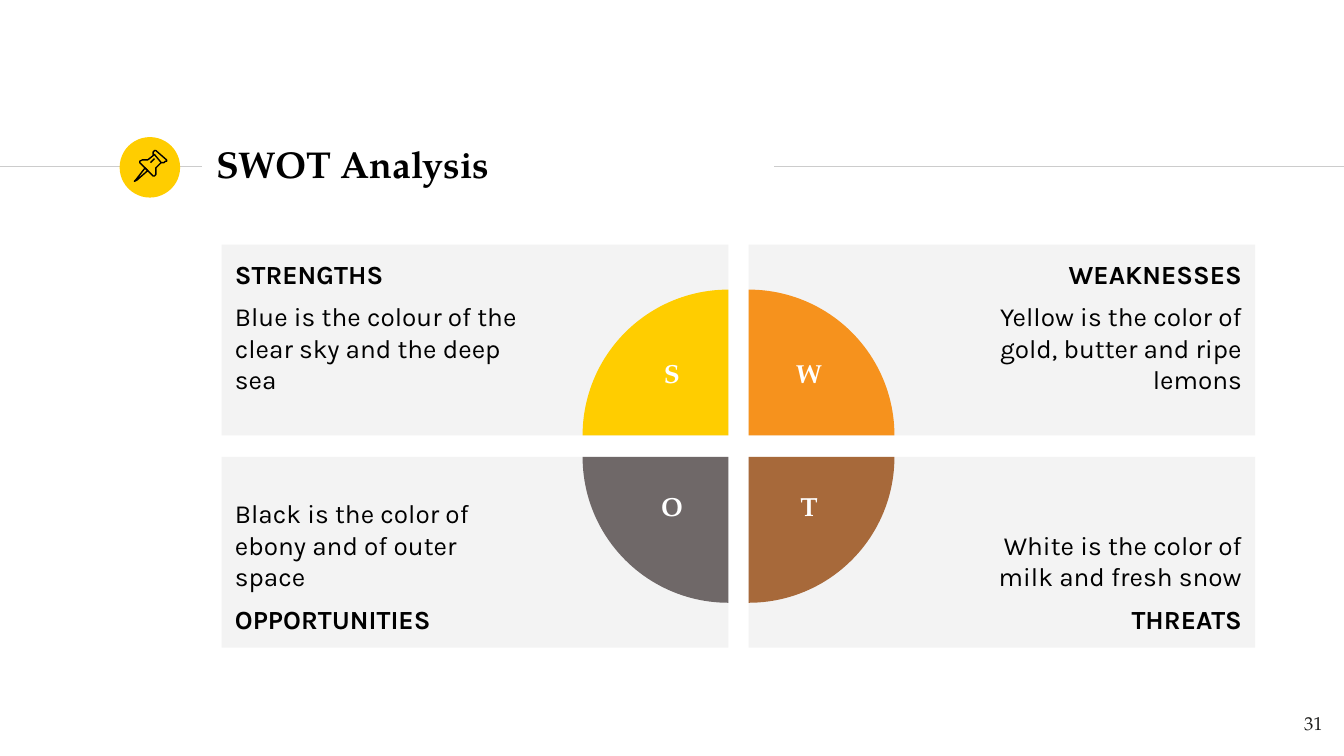
from pptx import Presentation
from pptx.dml.color import RGBColor
from pptx.enum import shapes, text
from pptx.util import Inches, Pt
from lxml import etree

SERIF, SANS = "TeX Gyre Pagella", "Karla"
BLACK, WHITE, YELLOW, PANEL, RULE = "000000", "FFFFFF", "FFCD00", "F3F3F3", "CCCCCC"

TITLE, PAGE_NUMBER = "SWOT Analysis", "31"
QUADRANTS = [
    ("S", "STRENGTHS", "Blue is the colour of the clear sky and the deep sea", YELLOW, 0, 0, 0),
    ("W", "WEAKNESSES", "Yellow is the color of gold, butter and ripe lemons", "F6921D", 1, 0, 90),
    ("T", "THREATS", "White is the color of milk and fresh snow", "A7693A", 1, 1, 180),
    ("O", "OPPORTUNITIES", "Black is the color of ebony and of outer space", "6F6868", 0, 1, 270),
]
RULES = [(0, 1.5), (5.76, 10)]
RULE_Y = 1.24
PIN_UNIT = Inches(0.01)
PIN_OUTLINES = [
    ([(108, 125), (101, 134), (100, 135), (102, 134), (110, 127)], True),
    ([(115, 115), (120, 121), (122, 121), (123, 120), (124, 120), (124, 119),
      (116, 112), (115, 112), (114, 113), (114, 115)], True),
    ([(115, 115), (110, 119), (108, 119), (106, 119), (104, 120), (104, 121),
      (114, 131), (115, 131), (116, 130), (116, 128), (116, 125), (120, 121)], False),
    ([(112, 121), (115, 118)], False),
]
LEFT, TOP, WIDTH, HEIGHT, GAP_X, GAP_Y = 1.65, 1.82, 3.77, 1.42, 0.15, 0.16
DIAMETER = 2.17
LETTER_SIZE, LETTER_CENTERS, LETTER_TOPS = 0.4, (5, 6.02), (2.61, 3.6)


def color(value):
    return RGBColor.from_string(value)


def write(para, words, font=SERIF, size=14, ink=BLACK, bold=False,
          align=text.PP_ALIGN.LEFT, before=0, after=0):
    para.alignment = align
    para.space_before, para.space_after = Pt(before), Pt(after)
    span = para.add_run()
    span.text = words
    span.font.name, span.font.size, span.font.bold = font, Pt(size), bold
    span.font.color.rgb = color(ink)


def set_frame(frame, insets, anchor=text.MSO_ANCHOR.TOP, wrap=True):
    frame.word_wrap = wrap
    frame.vertical_anchor = anchor
    frame.margin_left, frame.margin_top, frame.margin_right, frame.margin_bottom = map(Inches, insets)


def add_label(page, words, place, insets=(0.1,) * 4, anchor=text.MSO_ANCHOR.TOP, wrap=True, **style):
    box = page.shapes.add_textbox(*map(Inches, place))
    set_frame(box.text_frame, insets, anchor, wrap)
    write(box.text_frame.paragraphs[0], words, **style)


def add_filled(page, kind, place, fill):
    shape = page.shapes.add_shape(kind, *map(Inches, place))
    shape.shadow.inherit = False
    shape.fill.solid()
    shape.fill.fore_color.rgb = color(fill)
    shape.line.fill.background()
    return shape


def add_rule(page, start, end):
    line = page.shapes.add_connector(shapes.MSO_CONNECTOR.STRAIGHT, Inches(start), Inches(RULE_Y),
                                     Inches(end), Inches(RULE_Y))
    line.line.color.rgb = color(RULE)
    line.line.width = Pt(0.75)
    etree.SubElement(line._element.spPr, "{http://schemas.openxmlformats.org/drawingml/2006/main}effectLst")


def add_outline(page, points, closed):
    builder = page.shapes.build_freeform(*points[0], scale=PIN_UNIT)
    builder.add_line_segments(points[1:], close=closed)
    outline = builder.convert_to_shape()
    outline.shadow.inherit = False
    outline.fill.background()
    outline.line.color.rgb = color(BLACK)
    outline.line.width = Pt(0.75)
    return outline


def add_panel(page, heading, body, column, row):
    place = (LEFT + column * (WIDTH + GAP_X), TOP + row * (HEIGHT + GAP_Y), WIDTH, HEIGHT)
    frame = add_filled(page, shapes.MSO_SHAPE.RECTANGLE, place, PANEL).text_frame
    set_frame(frame, (1.5, 0.1, 0.1, 0.1) if column else (0.1, 0.1, 1.5, 0.1),
              text.MSO_ANCHOR.BOTTOM if row else text.MSO_ANCHOR.TOP)
    align = text.PP_ALIGN.RIGHT if column else text.PP_ALIGN.LEFT
    first, second = (body, heading) if row else (heading, body)
    write(frame.paragraphs[0], first, SANS, bold=first == heading, align=align)
    write(frame.add_paragraph(), second, SANS, bold=second == heading, align=align, before=6, after=6)


def add_quarter(page, fill, column, row, turn):
    center_x = LEFT + WIDTH + column * GAP_X
    center_y = TOP + HEIGHT + row * GAP_Y
    place = (center_x - DIAMETER / 2, center_y - DIAMETER / 2, DIAMETER, DIAMETER)
    quarter = add_filled(page, shapes.MSO_SHAPE.PIE, place, fill)
    quarter.adjustments[0], quarter.adjustments[1] = 108, 162
    quarter.rotation = turn


def add_letter(page, letter, column, row):
    place = (LETTER_CENTERS[column] - LETTER_SIZE / 2, LETTER_TOPS[row], LETTER_SIZE, LETTER_SIZE)
    add_label(page, letter, place, (0.1, 0.05, 0.1, 0.05), wrap=False, ink=WHITE, bold=True,
              align=text.PP_ALIGN.CENTER)


def main():
    deck = Presentation()
    deck.slide_width = Inches(10)
    deck.slide_height = deck.slide_width * 9 // 16
    page = deck.slides.add_slide(deck.slide_layouts[6])
    for start, end in RULES:
        add_rule(page, start, end)
    add_filled(page, shapes.MSO_SHAPE.OVAL, (0.89, 1.02, 0.45, 0.45), YELLOW)
    add_label(page, TITLE, (1.51, 0.98, 4.24, 0.48), anchor=text.MSO_ANCHOR.MIDDLE, size=20, bold=True)
    add_label(page, PAGE_NUMBER, (9.34, 5.21, 0.6, 0.41), size=10, ink="1D1D1B",
              align=text.PP_ALIGN.RIGHT)
    for letter, heading, body, fill, column, row, turn in QUADRANTS:
        add_panel(page, heading, body, column, row)
    for letter, heading, body, fill, column, row, turn in QUADRANTS:
        add_quarter(page, fill, column, row, turn)
    for letter, heading, body, fill, column, row, turn in QUADRANTS:
        add_letter(page, letter, column, row)
    page.shapes.add_group_shape([add_outline(page, points, closed) for points, closed in PIN_OUTLINES])
    deck.save("out.pptx")


if __name__ == "__main__":
    main()
